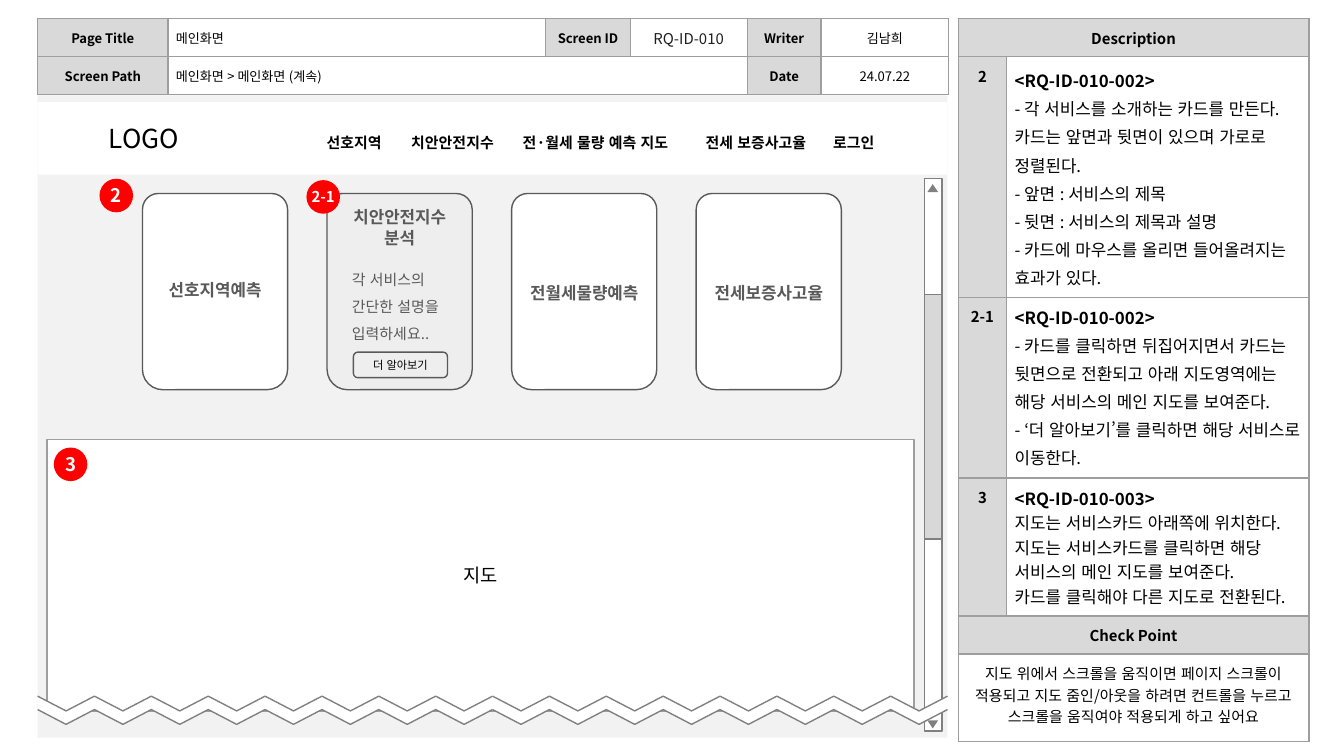
from lxml import etree
from pptx import Presentation
from pptx.dml.color import RGBColor
from pptx.enum.lang import MSO_LANGUAGE_ID
from pptx.enum.shapes import MSO_SHAPE
from pptx.enum.text import MSO_ANCHOR, PP_ALIGN
from pptx.oxml.ns import qn
from pptx.util import Inches, Pt

RECT, OVAL, TRIANGLE = MSO_SHAPE.RECTANGLE, MSO_SHAPE.OVAL, MSO_SHAPE.ISOSCELES_TRIANGLE
CARD, BUTTON = MSO_SHAPE.ROUND_2_SAME_RECTANGLE, MSO_SHAPE.ROUNDED_RECTANGLE
LEFT, CENTER = PP_ALIGN.LEFT, PP_ALIGN.CENTER
TOP, MIDDLE = MSO_ANCHOR.TOP, MSO_ANCHOR.MIDDLE
KOREAN = MSO_LANGUAGE_ID.KOREAN

FONT = "Noto Sans CJK KR"
BLACK, WHITE, RED = "000000", "FFFFFF", "FF0000"
PAGE, LABEL, THUMB, BACK = "F2F2F2", "D9D9D9", "D8D8D8", "EEEEEE"
BORDER, GRAY, DARK = "9E9E9E", "808080", "595959"

# Screen area and the grid of cards
SCREEN_LEFT, SCREEN_WIDTH = 0.28, 6.77
CARD_LEFT, CARD_TOP, CARD_WIDTH, CARD_HEIGHT = 1.06, 1.44, 1.08, 1.46
CARD_STEP = (5.18 - CARD_LEFT) / 3
CARD_TITLES = ["선호지역예측", "치안안전지수 분석", "전월세물량예측", "전세보증사고율"]
FLIPPED_CARD = 1

# Menu entries with their tab stops, measured from the logo text
MENU = [("선호지역", 1.62), ("치안안전지수", 2.25), ("전·월세 물량 예측 지도", 3.08),
        ("전세 보증사고율", 4.44), ("로그인", 5.39)]

# Table cells: row, column, columns spanned, text, format
HEADER_CELLS = [
    (0, 0, 1, "Page Title", "label"), (0, 1, 1, "메인화면", "left"),
    (0, 2, 1, "Screen ID", "label"), (0, 3, 1, "RQ-ID-010", "id"),
    (0, 4, 1, "Writer", "label"), (0, 5, 1, "김남희", "value"),
    (1, 0, 1, "Screen Path", "label"), (1, 1, 3, "메인화면 > 메인화면 (계속)", "left"),
    (1, 4, 1, "Date", "label"), (1, 5, 1, "24.07.22", "value"),
]
DESCRIPTIONS = [
    ("2", 1.15, 1.15, ["<RQ-ID-010-002>",
     "- 각 서비스를 소개하는 카드를 만든다. 카드는 앞면과 뒷면이 있으며 가로로 정렬된다.",
     "- 앞면 : 서비스의 제목", "- 뒷면 : 서비스의 제목과 설명",
     "- 카드에 마우스를 올리면 들어올려지는 효과가 있다."]),
    ("2-1", 1, 1.15, ["<RQ-ID-010-002>",
     "- 카드를 클릭하면 뒤집어지면서 카드는 뒷면으로 전환되고 아래 지도영역에는 "
     "해당 서비스의 메인 지도를 보여준다.",
     "- ‘더 알아보기’를 클릭하면 해당 서비스로 이동한다."]),
    ("3", 1, 1, ["<RQ-ID-010-003>", "지도는 서비스카드 아래쪽에 위치한다.",
     "지도는 서비스카드를 클릭하면 해당 서비스의 메인 지도를 보여준다.",
     "카드를 클릭해야 다른 지도로 전환된다."]),
]
CHECK_POINT = ("지도 위에서 스크롤을 움직이면 페이지 스크롤이 적용되고 지도 줌인/아웃을 하려면 "
               "컨트롤을 누르고 스크롤을 움직여야 적용되게 하고 싶어요")


def rgb(value):
    return RGBColor.from_string(value)


def set_all(target, values):
    for name, value in values.items():
        setattr(target, name, value)


def add_run(paragraph, text, size, color=BLACK, bold=False):
    run = paragraph.add_run()
    run.text = text
    set_all(run.font, {"size": Pt(size), "bold": bold, "name": FONT, "language_id": KOREAN})
    run.font.color.rgb = rgb(color)
    etree.SubElement(run.font._element, qn("a:ea"), typeface=FONT)


def write(frame, lines, size, color=BLACK, bold=False, align=CENTER, spacing=1):
    for index, line in enumerate(lines):
        paragraph = frame.paragraphs[0] if index == 0 else frame.add_paragraph()
        set_all(paragraph, {"alignment": align, "line_spacing": spacing})
        add_run(paragraph, line, size, color, bold)


def set_frame(frame, inset=0.1):
    margins = dict.fromkeys(["margin_left", "margin_right", "margin_top", "margin_bottom"],
                            Inches(inset))
    set_all(frame, {"word_wrap": True, "vertical_anchor": MIDDLE, **margins})


def paint(shape, fill=None, line=None):
    shape.shadow.inherit = False
    if fill:
        shape.fill.solid()
        shape.fill.fore_color.rgb = rgb(fill)
    else:
        shape.fill.background()
    if line:
        shape.line.color.rgb = rgb(line)
        shape.line.width = Pt(0.75)
    else:
        shape.line.fill.background()


def add_box(slide, kind, box, fill, line=None, adjust=(), inset=0.1):
    shape = slide.shapes.add_shape(kind, *map(Inches, box))
    paint(shape, fill, line)
    for index, value in enumerate(adjust):
        shape.adjustments[index] = value
    set_frame(shape.text_frame, inset)
    return shape


def add_text(slide, box, text, size, **style):
    frame = slide.shapes.add_textbox(*map(Inches, box)).text_frame
    set_frame(frame)
    write(frame, [text], size, **style)


def add_grid(slide, left, top, columns, rows):
    box = map(Inches, (left, top, sum(columns), sum(rows)))
    table = slide.shapes.add_table(len(rows), len(columns), *box).table
    set_all(table, {"first_row": False, "horz_banding": False})
    for column, width in zip(table.columns, columns):
        column.width = Inches(width)
    for row, height in zip(table.rows, rows):
        row.height = Inches(height)
    for cell in table.iter_cells():
        set_all(cell, dict.fromkeys(
            ["margin_left", "margin_right", "margin_top", "margin_bottom"], Inches(0.06)))
        cell.fill.background()
        properties = cell._tc.get_or_add_tcPr()
        for index, side in enumerate(["a:lnL", "a:lnR", "a:lnT", "a:lnB"]):
            line = etree.Element(qn(side), w=str(Pt(0.75)))
            fill = etree.SubElement(line, qn("a:solidFill"))
            etree.SubElement(fill, qn("a:srgbClr"), val=BORDER)
            properties.insert(index, line)
    return table


def fill_cell(table, row, column, lines, size, span=1, fill=None, anchor=TOP, **style):
    cell = table.cell(row, column)
    if span > 1:
        cell.merge(table.cell(row, column + span - 1))
    cell.vertical_anchor = anchor
    if fill:
        cell.fill.solid()
        cell.fill.fore_color.rgb = rgb(fill)
    write(cell.text_frame, lines, size, **style)


def add_header_table(slide):
    formats = {"label": {"size": 7, "bold": True, "fill": LABEL},
               "left": {"size": 7, "align": LEFT},
               "id": {"size": 8, "color": "1F1F1F"}, "value": {"size": 7}}
    table = add_grid(slide, SCREEN_LEFT, 0.14, [0.97, 2.81, 0.63, 0.87, 0.55, 0.95], [0.27, 0.28])
    for row, column, span, text, kind in HEADER_CELLS:
        fill_cell(table, row, column, [text], span=span, anchor=MIDDLE, **formats[kind])


def add_description_table(slide):
    table = add_grid(slide, 7.13, 0.14, [0.36, 2.25], [0.27, 1.78, 1.34, 1.02, 0.27, 0.65])
    label = {"size": 8, "bold": True, "fill": LABEL}
    fill_cell(table, 0, 0, ["Description"], span=2, **label)
    for row, (number, title_spacing, spacing, lines) in enumerate(DESCRIPTIONS, 1):
        fill_cell(table, row, 0, [number], **label)
        fill_cell(table, row, 1, lines, 9, align=LEFT, spacing=spacing)
        title = table.cell(row, 1).text_frame.paragraphs[0]
        title.line_spacing = title_spacing
        title.runs[0].font.bold = True
    fill_cell(table, 4, 0, ["Check Point"], span=2, **label)
    fill_cell(table, 5, 0, [CHECK_POINT], 8, span=2, fill=WHITE)


def add_menu_bar(slide):
    bar = add_box(slide, RECT, (SCREEN_LEFT, 0.76, SCREEN_WIDTH, 0.54), WHITE)
    bar.text_frame.margin_left = Inches(0.53)
    paragraph = bar.text_frame.paragraphs[0]
    paragraph.alignment = LEFT
    stops = etree.SubElement(paragraph._p.get_or_add_pPr(), qn("a:tabLst"))
    add_run(paragraph, "LOGO", 14)
    for name, stop in MENU:
        etree.SubElement(stops, qn("a:tab"), pos=str(Inches(stop)), algn="l")
        add_run(paragraph, "\t" + name, 8, bold=True)


def add_scroll_bar(slide):
    add_box(slide, RECT, (6.88, 1.33, 0.13, 4.11), WHITE, GRAY)
    for top, rotation in [(1.37, 0), (5.36, 180)]:
        add_box(slide, TRIANGLE, (6.9, top, 0.08, 0.06), GRAY).rotation = rotation
    add_box(slide, RECT, (6.88, 2.19, 0.13, 1.82), THUMB, GRAY)


def add_cards(slide):
    for index, title in enumerate(CARD_TITLES):
        left = CARD_LEFT + index * CARD_STEP
        flipped = index == FLIPPED_CARD
        add_box(slide, CARD, (left, CARD_TOP, CARD_WIDTH, CARD_HEIGHT),
                BACK if flipped else WHITE, DARK, (0.11, 0.14))
        top, height = (CARD_TOP, 0.5) if flipped else (1.98 if index == 0 else 2, 0.35)
        add_text(slide, (left, top, CARD_WIDTH, height), title, 9, color=DARK, bold=True)
    # Back side of the flipped card
    add_text(slide, (2.52, 1.86, 0.91, 0.78), "각 서비스의 간단한 설명을 입력하세요..", 8,
             color=DARK, align=LEFT, spacing=1.5)
    button = add_box(slide, BUTTON, (2.63, 2.62, 0.7, 0.19), BACK, DARK, (0.17,))
    write(button.text_frame, ["더 알아보기"], 6)


def add_page_break(slide, waves=4, steps=8):
    group = slide.shapes.add_group_shape()
    step = SCREEN_WIDTH / (waves * steps)
    for wave in range(waves):
        upper, lower = ([(Inches(SCREEN_LEFT + (wave * steps + i) * step),
                          Inches(top + 0.11 * (i % 2))) for i in range(steps + 1)]
                        for top in (5.18, 5.28))
        band = group.shapes.build_freeform(*upper[0])
        band.add_line_segments(upper[1:] + lower[::-1], close=True)
        paint(band.convert_to_shape(), fill=WHITE)
        edges = group.shapes.build_freeform(*upper[0])
        edges.add_line_segments(upper[1:], close=False)
        edges.move_to(*lower[0])
        edges.add_line_segments(lower[1:], close=False)
        paint(edges.convert_to_shape(), line=GRAY)


def add_badges(slide):
    for text, left, top, size in [("2", 0.74, 1.33, 10), ("3", 0.4, 3.33, 10),
                                  ("2-1", 2.28, 1.34, 8)]:
        badge = add_box(slide, OVAL, (left, top, 0.25, 0.25), RED, inset=0)
        badge.text_frame.word_wrap = False
        write(badge.text_frame, [text], size, color=WHITE, bold=True)


def main():
    presentation = Presentation()
    width = Inches(10)
    set_all(presentation, {"slide_width": width, "slide_height": width * 9 // 16})
    slide = presentation.slides.add_slide(presentation.slide_layouts[6])
    add_box(slide, RECT, (SCREEN_LEFT, 0.71, SCREEN_WIDTH, 4.78), PAGE)
    add_scroll_bar(slide)
    add_description_table(slide)
    add_header_table(slide)
    add_cards(slide)
    map_area = add_box(slide, RECT, (0.35, 3.27, 6.45, 2.02), WHITE, BORDER)
    write(map_area.text_frame, ["지도"], 10)
    add_page_break(slide)
    add_badges(slide)
    add_menu_bar(slide)
    presentation.save("out.pptx")


if __name__ == "__main__":
    main()
